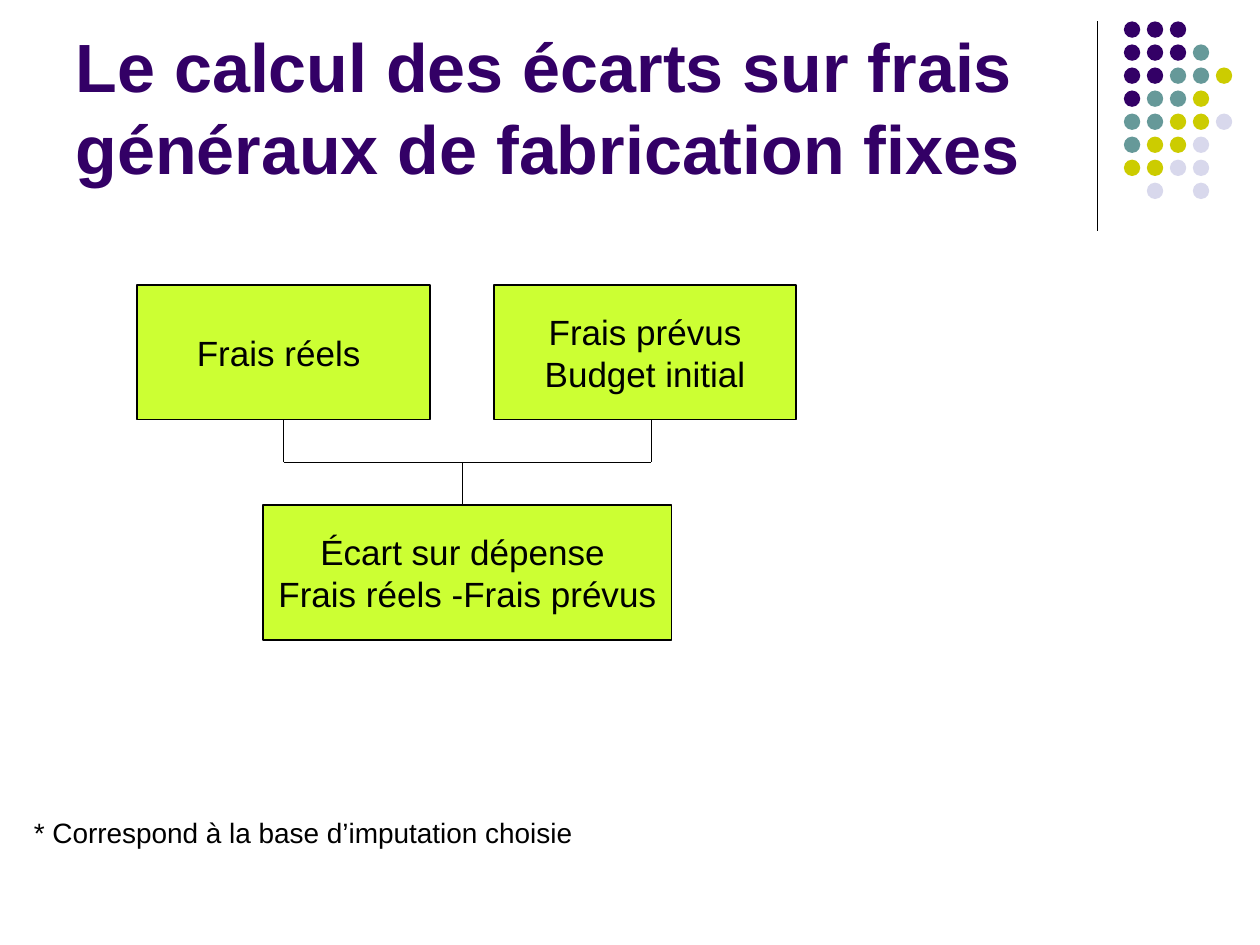
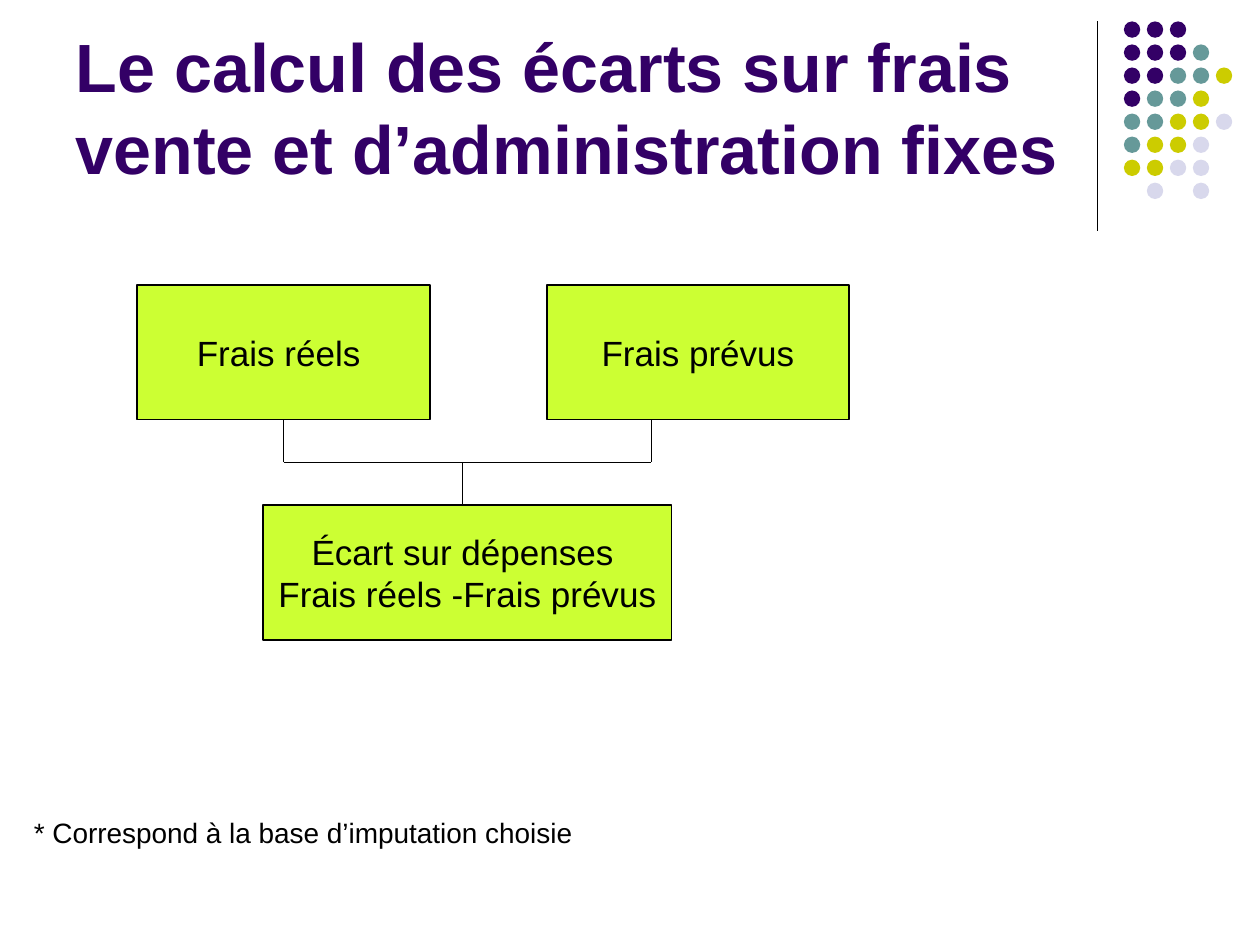
from lxml import etree
from pptx import Presentation
from pptx.dml.color import RGBColor
from pptx.enum import shapes, text
from pptx.oxml.ns import qn
from pptx.util import Inches, Pt

COLORS = {"title": "330066", "box": "CCFF33", "black": "000000",
          "P": "330066", "T": "669999", "Y": "CCCC00", "L": "D8D8EC"}
DOTS = ["PPP", "PPPT", "PPTTY", "PTTY", "TTYYL", "TYYL", "YYLL", " L L"]
REELS = (1.09, 2.26, 2.32, 1.07)
ECART = (2.09, 4.01, 3.24, 1.07)
SLIDES = [
    ("Le calcul des écarts sur frais généraux de fabrication fixes",
     [("Frais réels ", REELS),
      ("Frais prévus\nBudget initial", (3.92, 2.26, 2.4, 1.07)),
      ("Écart sur dépense \nFrais réels -Frais prévus", ECART)]),
    ("Le calcul des écarts sur frais vente et d’administration fixes",
     [("Frais réels ", REELS),
      ("Frais prévus", (4.34, 2.26, 2.4, 1.07)),
      ("Écart sur dépenses \nFrais réels -Frais prévus", ECART)]),
]
LINKS = [(2.25, 3.33, 2.25, 3.67), (2.25, 3.67, 5.17, 3.67),
         (5.17, 3.33, 5.17, 3.67), (3.67, 3.67, 3.67, 4.01)]


def add_line(parent, ends, width):
    line = parent.add_connector(shapes.MSO_CONNECTOR.STRAIGHT, *map(Inches, ends))
    line.line.color.rgb = RGBColor.from_string(COLORS["black"])
    line.line.width = Pt(width)
    etree.SubElement(line.element.spPr, qn("a:effectLst"))
    return line


def style(p, size, color, bold=False):
    p.font.name = "Arial"
    p.font.size = Pt(size)
    p.font.bold = bold
    p.font.color.rgb = RGBColor.from_string(COLORS[color])


prs = Presentation()
prs.slide_width, prs.slide_height = Inches(10), Inches(7.5)
layout = prs.slide_layouts.get_by_name("Title Only")

for number, (title, boxes) in enumerate(SLIDES):
    s = prs.slides.add_slide(layout)

    if number == 0:
        band = s.shapes.add_group_shape()
        add_line(band.shapes, (8.71, 0.17, 8.71, 1.83), 0.75)
        for row, dots in enumerate(DOTS):
            for col, key in enumerate(dots):
                if key != " ":
                    dot = band.shapes.add_shape(
                        shapes.MSO_SHAPE.OVAL, Inches(8.92 + col * 0.73 / 4),
                        Inches(0.17 + row * 1.28 / 7), Inches(0.13), Inches(0.13))
                    dot.shadow.inherit = False
                    dot.fill.solid()
                    dot.fill.fore_color.rgb = RGBColor.from_string(COLORS[key])
                    dot.line.fill.background()
        layout.shapes.element.append(band.element)
        for index, props in enumerate(layout.shapes.element.iter(qn("p:cNvPr")), 1):
            props.set("id", str(index))

    sp = s.shapes.title
    sp.left, sp.top, sp.width, sp.height = map(Inches, (0.5, 0.13, 8.25, 1.42))
    tf = sp.text_frame
    tf.text = title
    tf.auto_size = text.MSO_AUTO_SIZE.NONE
    tf.vertical_anchor = text.MSO_ANCHOR.MIDDLE
    p = tf.paragraphs[0]
    p.alignment = text.PP_ALIGN.LEFT
    style(p, 39, "title", True)
    effects = etree.SubElement(p.runs[0].font._element, qn("a:effectLst"))
    shadow = etree.SubElement(effects, qn("a:outerShdw"), dist="35921", dir="2700000")
    etree.SubElement(shadow, qn("a:srgbClr"), val="808080")

    rects = []
    for label, place in boxes:
        sp = s.shapes.add_shape(shapes.MSO_SHAPE.RECTANGLE, *map(Inches, place))
        sp.shadow.inherit = False
        sp.fill.solid()
        sp.fill.fore_color.rgb = RGBColor.from_string(COLORS["box"])
        sp.line.color.rgb = RGBColor.from_string(COLORS["black"])
        sp.line.width = Pt(1)
        tf = sp.text_frame
        tf.text = label
        tf.word_wrap = False
        tf.vertical_anchor = text.MSO_ANCHOR.MIDDLE
        for p in tf.paragraphs:
            p.alignment = text.PP_ALIGN.CENTER
            style(p, 20, "black")
        rects.append(sp)

    lines = [add_line(s.shapes, ends, 1) for ends in LINKS]
    lines[0].begin_connect(rects[0], 2)

    tf = s.shapes.add_textbox(*map(Inches, (0.17, 6.42, 5, 0.37))).text_frame
    tf.word_wrap = True
    tf.text = "* Correspond à la base d’imputation choisie"
    style(tf.paragraphs[0], 16, "black")

prs.save("out.pptx")
